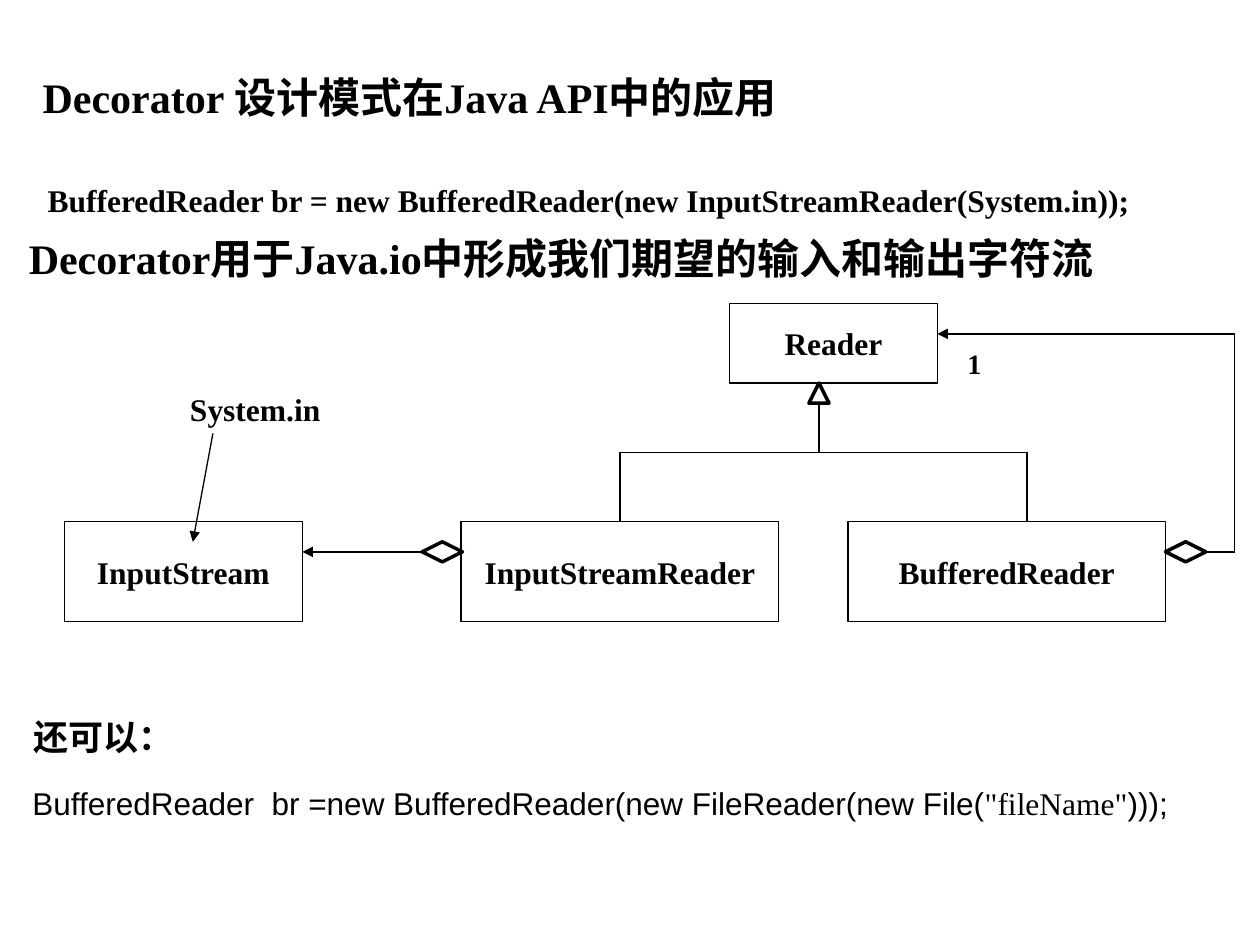
from lxml import etree
from pptx import Presentation
from pptx.dml.color import RGBColor
from pptx.enum.shapes import MSO_CONNECTOR, MSO_SHAPE
from pptx.enum.text import MSO_ANCHOR, MSO_AUTO_SIZE, PP_ALIGN
from pptx.oxml.ns import qn
from pptx.util import Inches, Pt

STRAIGHT = MSO_CONNECTOR.STRAIGHT
RECTANGLE = MSO_SHAPE.RECTANGLE
TRIANGLE = MSO_SHAPE.ISOSCELES_TRIANGLE
DIAMOND = MSO_SHAPE.FLOWCHART_DECISION
MIDDLE = MSO_ANCHOR.MIDDLE
FIT_SHAPE = MSO_AUTO_SIZE.SHAPE_TO_FIT_TEXT
CENTER = PP_ALIGN.CENTER
TOP, LEFT, RIGHT = 0, 1, 3

COLORS = {"ink": "000000"}
SERIF = "Times New Roman"
SANS = "Arial"


class ClassDiagram:
    def __init__(self, slide):
        self.slide = slide
        self.ink = RGBColor.from_string(COLORS["ink"])
        self.thin = Pt(0.75)
        self.thick = Pt(2)

    def format_font(self, font, size, name, bold):
        font.size = Pt(size)
        font.name = name
        font.bold = bold
        font.color.rgb = self.ink

    def text(self, bounds, parts, size, bold=True, wrap=False):
        box = self.slide.shapes.add_textbox(*map(Inches, bounds))
        frame = box.text_frame
        frame.word_wrap = wrap
        frame.auto_size = FIT_SHAPE
        for content, name in parts:
            run = frame.paragraphs[0].add_run()
            run.text = content
            self.format_font(run.font, size, name, bold)

    def outline(self, kind, bounds, width):
        shape = self.slide.shapes.add_shape(kind, *map(Inches, bounds))
        shape.shadow.inherit = False
        shape.fill.background()
        shape.line.color.rgb = self.ink
        shape.line.width = width
        return shape

    def class_box(self, bounds, name):
        shape = self.outline(RECTANGLE, bounds, self.thin)
        frame = shape.text_frame
        frame.word_wrap = False
        frame.vertical_anchor = MIDDLE
        frame.text = name
        paragraph = frame.paragraphs[0]
        paragraph.alignment = CENTER
        self.format_font(paragraph.runs[0].font, 18, SERIF, True)
        return shape

    def symbol(self, kind, bounds):
        return self.outline(kind, bounds, self.thick)

    def line(self, start, end, arrow=False):
        connector = self.slide.shapes.add_connector(STRAIGHT, *map(Inches, start + end))
        connector.line.color.rgb = self.ink
        connector.line.width = self.thin
        if arrow:
            outline = connector.line._get_or_add_ln()
            etree.SubElement(outline, qn("a:tailEnd"), type="triangle")
        etree.SubElement(connector._element.spPr, qn("a:effectLst"))
        return connector


def main():
    presentation = Presentation()
    presentation.slide_width = Inches(10)
    presentation.slide_height = Inches(7.5)
    slide = presentation.slides.add_slide(presentation.slide_layouts[6])
    diagram = ClassDiagram(slide)

    diagram.text((0.24, 0.52, 6.29, 0.5), [("Decorator 设计模式在Java API中的应用", SERIF)], 24)
    diagram.text(
        (0.28, 1.39, 8.81, 0.4),
        [("BufferedReader br = new BufferedReader(new InputStreamReader(System.in));", SERIF)],
        18,
    )

    class_top, class_height = 4.14, 0.79
    diagram.class_box((0.51, class_top, 1.89, class_height), "InputStream")
    stream_reader = diagram.class_box((3.66, class_top, 2.52, class_height), "InputStreamReader")
    diagram.class_box((6.73, class_top, 2.52, class_height), "BufferedReader")
    diagram.class_box((5.79, 2.41, 1.65, 0.63), "Reader")

    branch_y, stream_x, buffered_x = 3.59, 4.92, 8.15
    diagram.symbol(TRIANGLE, (6.42, 3.04, 0.16, 0.16))
    diagram.line((6.5, 3.2), (6.5, branch_y))
    diagram.line((stream_x, branch_y), (buffered_x, branch_y))
    stream_branch = diagram.line((stream_x, branch_y), (stream_x, class_top))
    stream_branch.end_connect(stream_reader, TOP)
    diagram.line((buffered_x, branch_y), (buffered_x, class_top))

    link_y, return_x, return_y = 4.38, 9.8, 2.65
    stream_diamond = diagram.symbol(DIAMOND, (3.35, 4.3, 0.32, 0.16))
    stream_link = diagram.line((3.35, link_y), (2.4, link_y), arrow=True)
    stream_link.begin_connect(stream_diamond, LEFT)
    buffered_diamond = diagram.symbol(DIAMOND, (9.25, 4.3, 0.32, 0.16))
    buffered_link = diagram.line((9.57, link_y), (return_x, link_y))
    buffered_link.begin_connect(buffered_diamond, RIGHT)
    diagram.line((return_x, return_y), (return_x, link_y))
    diagram.line((return_x, return_y), (7.44, return_y), arrow=True)

    diagram.text((7.58, 2.7, 0.31, 0.37), [("1", SERIF)], 16)
    diagram.text(
        (0.13, 1.8, 8.89, 0.5),
        [("Decorator用于Java.io中形成我们期望的输入和输出字符流", SERIF)],
        24,
    )
    diagram.line((1.69, 3.44), (1.53, 4.3), arrow=True)
    diagram.text((1.41, 3.05, 1.27, 0.4), [("System.in", SERIF)], 18)
    diagram.text(
        (0.16, 6.17, 9.37, 0.4),
        [
            ("BufferedReader  br =new BufferedReader(new FileReader(new File(", SANS),
            ('"fileName"', SERIF),
            (")));", SANS),
        ],
        18,
        bold=False,
        wrap=True,
    )
    diagram.text((0.17, 5.63, 1.31, 0.44), [("还可以：", SANS)], 20)

    presentation.save("out.pptx")


if __name__ == "__main__":
    main()
